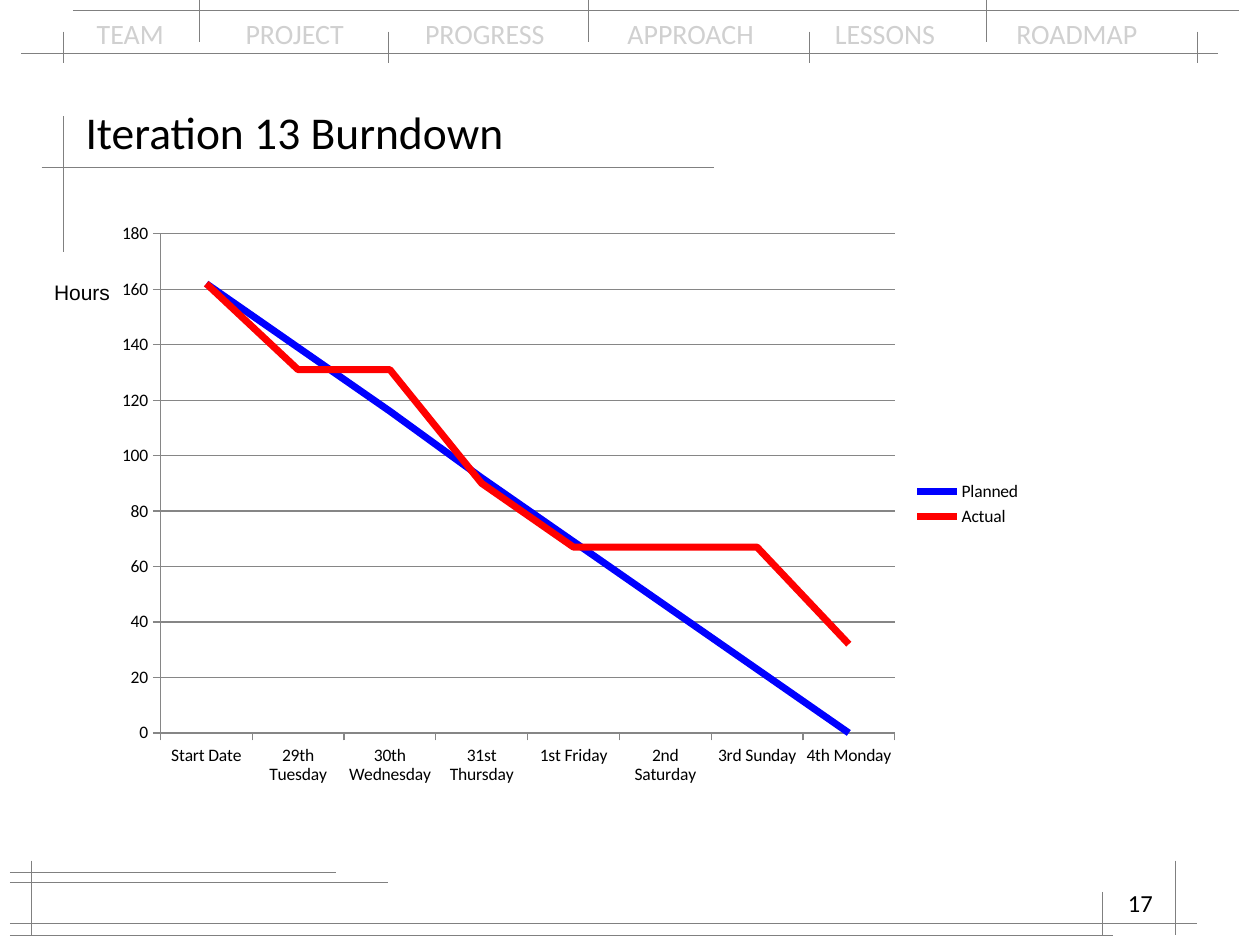
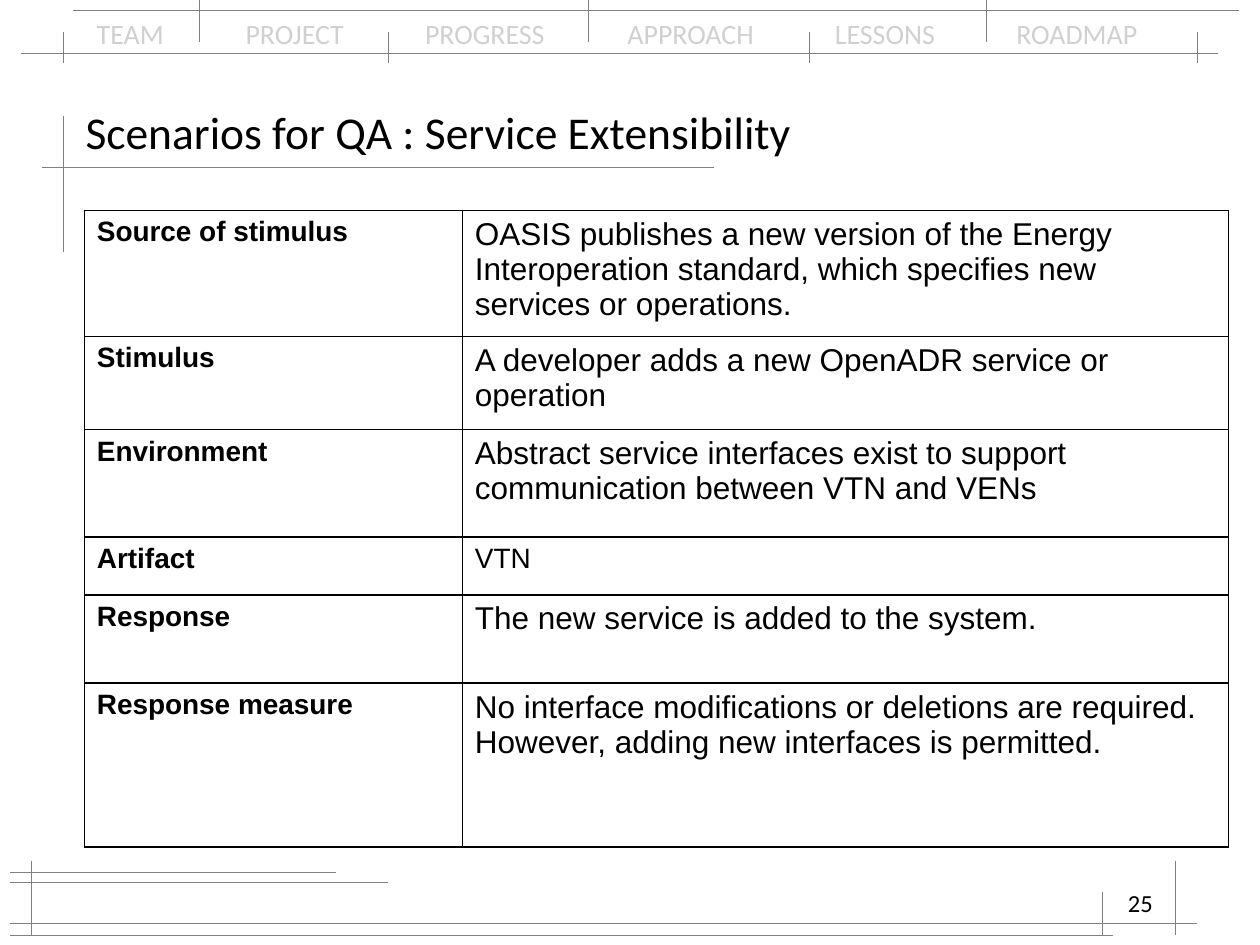
from dataclasses import dataclass

from lxml.etree import SubElement
from pptx import Presentation
from pptx.chart.data import CategoryChartData
from pptx.dml.color import RGBColor as RGB
from pptx.enum.chart import XL_CHART_TYPE as ChartType, XL_LEGEND_POSITION as Legend
from pptx.enum.chart import XL_TICK_MARK as Tick
from pptx.enum.shapes import MSO_CONNECTOR as Connector
from pptx.enum.text import MSO_ANCHOR as Anchor, PP_ALIGN as Align
from pptx.oxml.ns import qn
from pptx.util import Cm, Pt


@dataclass(frozen=True)
class Theme:
    """Colours, fonts and type sizes shared by the slides."""
    ink: str = "000000"
    nav: str = "D0D0D0"
    rule: str = "808080"
    grid: str = "868686"
    planned: str = "0000FF"
    actual: str = "FF0000"
    head_font: str = "Calibri"
    body_font: str = "Arial"
    title_size: int = 26
    nav_size: int = 16
    number_size: int = 14
    axis_name_size: int = 12
    chart_size: int = 10
    label_size: int = 16
    cell_size: int = 18
    rule_width: float = 0.3
    border_width: float = 1
    series_width: float = 4


@dataclass(frozen=True)
class Box:
    """A region of the slide in centimetres."""
    x: float
    y: float
    w: float
    h: float

    def inner(self, dx, dy, w, h):
        """Return a box placed relative to this one."""
        return Box(self.x + dx, self.y + dy, w, h)

    def cm(self):
        """Return left, top, width and height as lengths."""
        return Cm(self.x), Cm(self.y), Cm(self.w), Cm(self.h)


THEME = Theme()
NAV = Box(0, 0, 25.4, 1.27)
TITLE = Box(1.47, 1.91, 22.43, 1.47)
FOOTER = Box(0.2, 17.35, 23.93, 1.5)
BURNDOWN = Box(0.84, 4.24, 20.01, 11.84)
SCENARIO = Box(1.7, 4.24, 23.06, 12.83)

SECTIONS = ["TEAM", "PROJECT", "PROGRESS", "APPROACH", "LESSONS", "ROADMAP"]
SECTION_TABS = [3, 6.62, 10.7, 14.88, 18.54]

DAYS = ["Start Date", "29th Tuesday", "30th Wednesday", "31st Thursday",
        "1st Friday", "2nd Saturday", "3rd Sunday", "4th Monday"]
HOURS = {
    "Planned": (THEME.planned, [162, 139, 116, 92, 69, 46, 23, 0]),
    "Actual": (THEME.actual, [162, 131, 131, 90, 67, 67, 67, 32]),
}

SCENARIO_COLS = [7.62, 15.44]
SCENARIO_ROWS = [
    (2.54, "Source of stimulus", "OASIS publishes a new version of the Energy Interoperation "
     "standard, which specifies new services or operations.", THEME.cell_size),
    (1.88, "Stimulus", "A developer adds a new OpenADR service or operation", THEME.cell_size),
    (2.16, "Environment", "Abstract service interfaces exist to support communication "
     "between VTN and VENs", THEME.cell_size),
    (1.17, "Artifact", "VTN", THEME.label_size),
    (1.78, "Response", "The new service is added to the system.", THEME.cell_size),
    (3.3, "Response measure", "No interface modifications or deletions are required. "
     "However, adding new interfaces is permitted.", THEME.cell_size),
]


def style_font(font, size, name=THEME.head_font, color=THEME.ink, bold=False):
    """Set the face, size, colour and weight of a font."""
    font.name, font.size, font.bold = name, Pt(size), bold
    font.color.rgb = RGB.from_string(color)


def write(tf, text, align=Align.LEFT, tabs=(), **fmt):
    """Write one formatted paragraph into a text frame."""
    p = tf.paragraphs[0]
    p.alignment = align
    if tabs:
        tab_list = SubElement(p._p.get_or_add_pPr(), qn("a:tabLst"))
        for pos in tabs:
            SubElement(tab_list, qn("a:tab"), pos=str(Cm(pos)), algn="l")
    r = p.add_run()
    r.text = text
    style_font(r.font, **fmt)


def add_text(s, box, text, wrap=True, **fmt):
    """Add a text box that holds one paragraph."""
    tf = s.shapes.add_textbox(*box.cm()).text_frame
    tf.word_wrap = wrap
    write(tf, text, **fmt)


def add_rules(s, box, across=(), down=()):
    """Draw (x1, x2, y) and (x, y1, y2) hairlines relative to a box."""
    ends = [(x1, y, x2, y) for x1, x2, y in across]
    ends += [(x, y1, x, y2) for x, y1, y2 in down]
    for x1, y1, x2, y2 in ends:
        line = s.shapes.add_connector(
            Connector.STRAIGHT, Cm(box.x + x1), Cm(box.y + y1),
            Cm(box.x + x2), Cm(box.y + y2))
        line.line.color.rgb = RGB.from_string(THEME.rule)
        line.line.width = Pt(THEME.rule_width)
        SubElement(line._element.spPr, qn("a:effectLst"))


def add_nav(s, box):
    """Draw the section names and the rules around them."""
    add_text(s, box.inner(1.7, 0.2, 22.02, 0.94), "\t".join(SECTIONS), tabs=SECTION_TABS,
             size=THEME.nav_size, color=THEME.nav)
    ticks = [(x, 0.64, 1.27) for x in (1.27, 7.82, 16.31, 24.13)]
    ticks += [(x, 0, 0.84) for x in (4.01, 11.86, 19.89)]
    add_rules(s, box, [(0.43, 24.56, 1.07), (1.47, 24.97, 0.2)], ticks)


def add_title(s, box, text):
    """Fill the title placeholder and draw its crossing rules."""
    add_rules(s, box, [(-0.63, 12.93, box.h)], [(-0.2, 0.43, 3.17)])
    title = s.shapes.title
    title.left, title.top, title.width, title.height = box.cm()
    title.text_frame.vertical_anchor = Anchor.MIDDLE
    write(title.text_frame, text, size=THEME.title_size)


def add_footer(s, box, number):
    """Draw the bottom rules and the slide number."""
    add_rules(s, box,
              [(0, 7.62, 0.43), (0, box.w, 1.27), (0, 6.58, 0.23), (0, 22.23, box.h)],
              [(0.44, 0, box.h), (23.5, 0, box.h), (22.03, 0.63, box.h)])
    add_text(s, box.inner(18.01, 0.43, 5.28, 1.27), str(number), align=Align.RIGHT,
             size=THEME.number_size)


def style_axis(axis):
    """Give an axis grey lines and outward ticks."""
    axis.major_tick_mark, axis.minor_tick_mark = Tick.OUTSIDE, Tick.NONE
    axis.format.line.color.rgb = RGB.from_string(THEME.grid)
    style_font(axis.tick_labels.font, THEME.chart_size)


def set_plot_layout(chart, **shares):
    """Fix the inner plot area as shares of the chart."""
    area = chart.element.find(".//" + qn("c:plotArea"))
    for old in area.findall(qn("c:layout")):
        area.remove(old)
    layout = area.makeelement(qn("c:layout"))
    area.insert(0, layout)
    manual = SubElement(layout, qn("c:manualLayout"))
    settings = {"layoutTarget": "inner", "xMode": "edge", "yMode": "edge", **shares}
    for tag, val in settings.items():
        SubElement(manual, qn("c:" + tag), val=str(val))


def add_burndown(s, box):
    """Draw the burndown line chart and its axis name."""
    data = CategoryChartData(number_format="General")
    data.categories = DAYS
    for name, (_, values) in HOURS.items():
        data.add_series(name, values)
    chart_box = box.inner(1.27, 0, 18.74, box.h)
    chart = s.shapes.add_chart(ChartType.LINE, *chart_box.cm(), data).chart
    style_font(chart.font, THEME.chart_size)
    chart.has_title = False
    chart.has_legend = True
    chart.legend.position = Legend.RIGHT
    chart.legend.include_in_layout = False
    style_font(chart.legend.font, THEME.chart_size)
    chart.plots[0].vary_by_categories = False
    for series in chart.plots[0].series:
        series.smooth = False
        series.format.line.color.rgb = RGB.from_string(HOURS[series.name][0])
        series.format.line.width = Pt(THEME.series_width)
    hours = chart.value_axis
    for axis in (chart.category_axis, hours):
        style_axis(axis)
    hours.minimum_scale, hours.maximum_scale, hours.major_unit = 0, 180, 20
    hours.has_major_gridlines = True
    hours.major_gridlines.format.line.color.rgb = RGB.from_string(THEME.grid)
    set_plot_layout(chart, x=0.06, y=0.04, w=0.79, h=0.85)
    add_text(s, box.inner(0, 1.27, 1.65, 0.76), "Hours", wrap=False,
             size=THEME.axis_name_size, name=THEME.body_font)


def add_borders(cell):
    """Draw a thin border on each side of a cell."""
    props = cell._tc.get_or_add_tcPr()
    for i, side in enumerate(("a:lnL", "a:lnR", "a:lnT", "a:lnB")):
        line = props.makeelement(qn(side), w=str(Pt(THEME.border_width)))
        fill = SubElement(line, qn("a:solidFill"))
        SubElement(fill, qn("a:srgbClr"), val=THEME.ink)
        props.insert(i, line)


def add_scenario(s, box):
    """Draw the scenario table with a label and a text in each row."""
    table = s.shapes.add_table(len(SCENARIO_ROWS), len(SCENARIO_COLS), *box.cm()).table
    table.first_row = table.horz_banding = False
    for col, width in zip(table.columns, SCENARIO_COLS):
        col.width = Cm(width)
    for row, (height, label, text, size) in zip(table.rows, SCENARIO_ROWS):
        row.height = Cm(height)
        formats = [(label, THEME.label_size, True), (text, size, False)]
        for cell, (words, points, bold) in zip(row.cells, formats):
            cell.fill.background()
            add_borders(cell)
            write(cell.text_frame, words, size=points, bold=bold, name=THEME.body_font)


def add_slide(prs, title, number):
    """Add a slide with the shared navigation, title and footer."""
    s = prs.slides.add_slide(prs.slide_layouts[5])
    add_nav(s, NAV)
    add_title(s, TITLE, title)
    add_footer(s, FOOTER, number)
    return s


def main():
    """Build and save the presentation."""
    prs = Presentation()
    prs.slide_width, prs.slide_height = Cm(25.4), Cm(19.05)
    add_burndown(add_slide(prs, "Iteration 13 Burndown", 17), BURNDOWN)
    add_scenario(add_slide(prs, "Scenarios for QA : Service Extensibility", 25), SCENARIO)
    prs.save("out.pptx")


if __name__ == "__main__":
    main()
